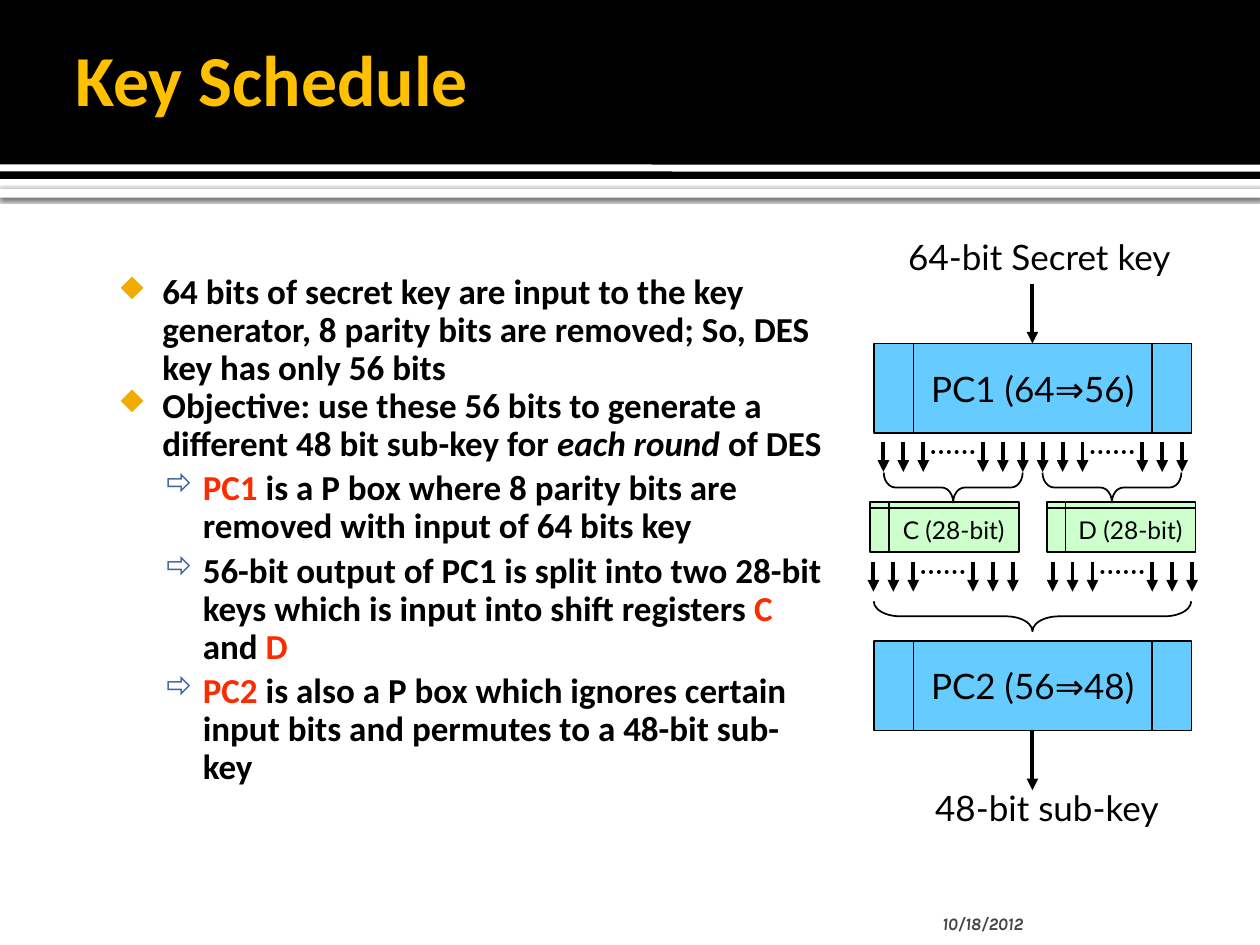
from dataclasses import dataclass

from lxml import etree
from pptx import Presentation
from pptx import util as u
from pptx.dml.color import RGBColor
from pptx.enum import dml, shapes, text
from pptx.oxml.ns import qn

BLACK, WHITE, RED = "000000", "FFFFFF", "FD2B01"
BIT_PITCH = 11.38
KIND = shapes.MSO_SHAPE


@dataclass
class Span:
    words: str
    color: str = BLACK
    italic: bool = False


@dataclass
class Level:
    wingding: str
    color: str
    percent: int
    left: float
    hanging: float
    before: float


@dataclass
class Point:
    level: Level
    spans: list[Span]


@dataclass
class Box:
    kind: shapes.MSO_SHAPE
    left: float
    top: float
    width: float
    height: float
    fill: str
    label: str
    size: float


@dataclass
class Label:
    words: str
    left: float
    top: float
    width: float
    height: float
    size: float
    font: str
    color: str = BLACK
    bold: bool = False
    italic: bool = False
    align: text.PP_ALIGN = text.PP_ALIGN.LEFT
    anchor: text.MSO_ANCHOR = text.MSO_ANCHOR.TOP
    insets: tuple = (7.2, 3.6, 7.2, 3.6)


MAIN = Level("u", "F0AD00", 80, 34.56, 25.2, 0)
SUB = Level("ð", "39639D", 90, 57.6, 21.6, 4)

POINTS = [
    Point(MAIN, [Span("64 bits of secret key are input to the key generator, "
                      "8 parity bits are removed; So, DES key has only 56 bits")]),
    Point(MAIN, [Span("Objective: use these 56 bits to generate a different 48 bit sub-key for "),
                 Span("each round", italic=True), Span(" of DES")]),
    Point(SUB, [Span("PC1", RED),
                Span(" is a P box where 8 parity bits are removed with input of 64 bits key")]),
    Point(SUB, [Span("56-bit output of PC1 is split into two 28-bit keys "
                     "which is input into shift registers "),
                Span("C", RED), Span(" and "), Span("D", RED)]),
    Point(SUB, [Span("PC2", RED),
                Span(" is also a P box which ignores certain input bits "
                     "and permutes to a 48-bit sub-key")]),
]

CENTER = text.PP_ALIGN.CENTER
LABELS = [
    Label("Key Schedule", 36, 5.76, 594, 77.76, 41, "Calibri", "FFC000", bold=True,
          anchor=text.MSO_ANCHOR.MIDDLE, insets=(7.2, 3.6, 3.6, 3.6)),
    Label("64-bit Secret key", 504, 131, 180, 31, 20, "Lato", align=CENTER),
    Label("48-bit sub-key", 516.2, 445.7, 164.2, 31, 20, "Lato", align=CENTER),
    Label("10/18/2012", 529.9, 504.7, 151.2, 28.8, 10, "Karla", "454545", bold=True,
          italic=True, anchor=text.MSO_ANCHOR.BOTTOM, insets=(8.64, 3.6, 3.6, 0)),
]

BOXES = [
    Box(KIND.FLOWCHART_PREDEFINED_PROCESS, 499.4, 196.3, 181.4, 51.1, "66CCFF", "PC1 (64⇒56)", 20),
    Box(KIND.FLOWCHART_INTERNAL_STORAGE, 497.2, 287, 85, 28.3, "CCFFCC", "C (28-bit)", 14),
    Box(KIND.FLOWCHART_INTERNAL_STORAGE, 598.2, 287, 85, 28.3, "CCFFCC", "D (28-bit)", 14),
    Box(KIND.FLOWCHART_PREDEFINED_PROCESS, 499.4, 366.3, 181.4, 51.1, "66CCFF", "PC2 (56⇒48)", 20),
]


def rgb(code: str) -> RGBColor:
    return RGBColor.from_string(code)


def style(run, size: float, font: str, color: str, bold=False, italic=False) -> None:
    run.font.size, run.font.name = u.Pt(size), font
    run.font.bold, run.font.italic = bold, italic
    run.font.color.rgb = rgb(color)


def set_insets(frame, insets: tuple) -> None:
    (frame.margin_left, frame.margin_top,
     frame.margin_right, frame.margin_bottom) = map(u.Pt, insets)


def add_shape(slide, kind, left: float, top: float, width: float, height: float,
              fill: str | None = None, line: str | None = None):
    shape = slide.shapes.add_shape(kind, *map(u.Pt, (left, top, width, height)))
    shape.shadow.inherit = False
    if fill:
        shape.fill.solid()
        shape.fill.fore_color.rgb = rgb(fill)
    else:
        shape.fill.background()
    if line:
        shape.line.color.rgb = rgb(line)
        shape.line.width = u.Pt(1)
    else:
        shape.line.fill.background()
    return shape


def add_line(slide, x1: float, y1: float, x2: float, y2: float, color: str = BLACK,
             width: float = 2.25, arrow: bool = False, dotted: bool = False) -> None:
    line = slide.shapes.add_connector(shapes.MSO_CONNECTOR.STRAIGHT, *map(u.Pt, (x1, y1, x2, y2)))
    line.line.color.rgb = rgb(color)
    line.line.width = u.Pt(width)
    properties = line.element.spPr
    stroke = properties.find(qn("a:ln"))
    if dotted:
        line.line.dash_style = dml.MSO_LINE.ROUND_DOT
        stroke.set("cap", "rnd")
    if arrow:
        etree.SubElement(stroke, qn("a:tailEnd"), type="triangle")
    etree.SubElement(properties, qn("a:effectLst"))


def add_label(slide, label: Label) -> None:
    frame = slide.shapes.add_textbox(
        *map(u.Pt, (label.left, label.top, label.width, label.height))).text_frame
    frame.word_wrap = True
    frame.vertical_anchor = label.anchor
    set_insets(frame, label.insets)
    frame.text = label.words
    paragraph = frame.paragraphs[0]
    paragraph.alignment = label.align
    style(paragraph.runs[0], label.size, label.font, label.color, label.bold, label.italic)


def add_box(slide, box: Box) -> None:
    frame = add_shape(slide, box.kind, box.left, box.top, box.width, box.height,
                      box.fill, BLACK).text_frame
    frame.word_wrap = False
    frame.vertical_anchor = text.MSO_ANCHOR.MIDDLE
    set_insets(frame, (7.2, 3.6, 7.2, 3.6))
    frame.text = box.label
    frame.paragraphs[0].alignment = CENTER
    style(frame.paragraphs[0].runs[0], box.size, "Lato", BLACK)


def add_brace(slide, center: float, top: float, span: float, depth: float, curve: float) -> None:
    brace = add_shape(slide, KIND.LEFT_BRACE, center - depth / 2, top + depth / 2 - span / 2,
                      depth, span, line=BLACK)
    brace.rotation = 270
    brace.adjustments[0] = curve


def add_bits(slide, left: float, top: float) -> None:
    for step in (0, 1, 2, 5, 6, 7):
        x = left + step * BIT_PITCH
        add_line(slide, x, top, x, top + 17, arrow=True)
    add_line(slide, left + 2.5 * BIT_PITCH, top + 5.7,
             left + 4.5 * BIT_PITCH, top + 5.7, dotted=True)


def add_points(slide, points: list[Point]) -> None:
    frame = slide.shapes.add_textbox(*map(u.Pt, (54, 149.8, 424.8, 352.8))).text_frame
    frame.word_wrap = True
    set_insets(frame, (4.32, 7.2, 7.2, 3.6))
    for index, point in enumerate(points):
        paragraph = frame.add_paragraph() if index else frame.paragraphs[0]
        level = point.level
        paragraph.line_spacing = 0.9
        paragraph.space_before = u.Pt(level.before)
        paragraph.level = 1 if level is SUB else 0
        properties = paragraph._p.get_or_add_pPr()
        properties.set("marL", str(u.Pt(level.left)))
        properties.set("indent", str(-u.Pt(level.hanging)))
        tint = etree.SubElement(properties, qn("a:buClr"))
        etree.SubElement(tint, qn("a:srgbClr"), val=level.color)
        etree.SubElement(properties, qn("a:buSzPct"), val=str(level.percent * 1000))
        etree.SubElement(properties, qn("a:buFont"), typeface="Wingdings",
                         pitchFamily="2", charset="2")
        etree.SubElement(properties, qn("a:buChar"), char=level.wingding)
        for span in point.spans:
            run = paragraph.add_run()
            run.text = span.words
            style(run, 20, "Calibri", span.color, True, span.italic)


def add_header(slide) -> None:
    strip = add_shape(slide, KIND.RECTANGLE, 0, 108, 720, 5, WHITE)
    effects = strip.element.spPr.find(qn("a:effectLst"))
    shadow = etree.SubElement(effects, qn("a:outerShdw"), blurRad=str(u.Pt(2.5)),
                              dist=str(u.Pt(0.8)), dir="5400000", rotWithShape="0")
    shade = etree.SubElement(shadow, qn("a:srgbClr"), val=BLACK)
    etree.SubElement(shade, qn("a:alpha"), val="60000")
    add_shape(slide, KIND.RECTANGLE, 0, 0, 720, 102.2, BLACK)
    add_line(slide, 0, 95.9, 720, 96.1, WHITE, 4)


def main() -> None:
    deck = Presentation()
    deck.slide_width, deck.slide_height = u.Pt(720), u.Pt(540)
    slide = deck.slides.add_slide(deck.slide_layouts[6])
    add_header(slide)
    add_points(slide, POINTS)
    for box in BOXES:
        add_box(slide, box)
    for label in LABELS:
        add_label(slide, label)
    for top, bottom in ((162, 196.3), (417.4, 451.6)):
        add_line(slide, 590, top, 590, bottom, arrow=True)
    for left, top, gap in ((504.8, 252.7, 8), (499.1, 321.1, 9)):
        for group in range(2):
            add_bits(slide, left + group * gap * BIT_PITCH, top)
    for center in (544.7, 635.4):
        add_brace(slide, center, 270, 79.4, 17.1, 0.39)
    add_brace(slide, 590, 343.6, 181.4, 17.1, 0.89)
    deck.save("out.pptx")


if __name__ == "__main__":
    main()
